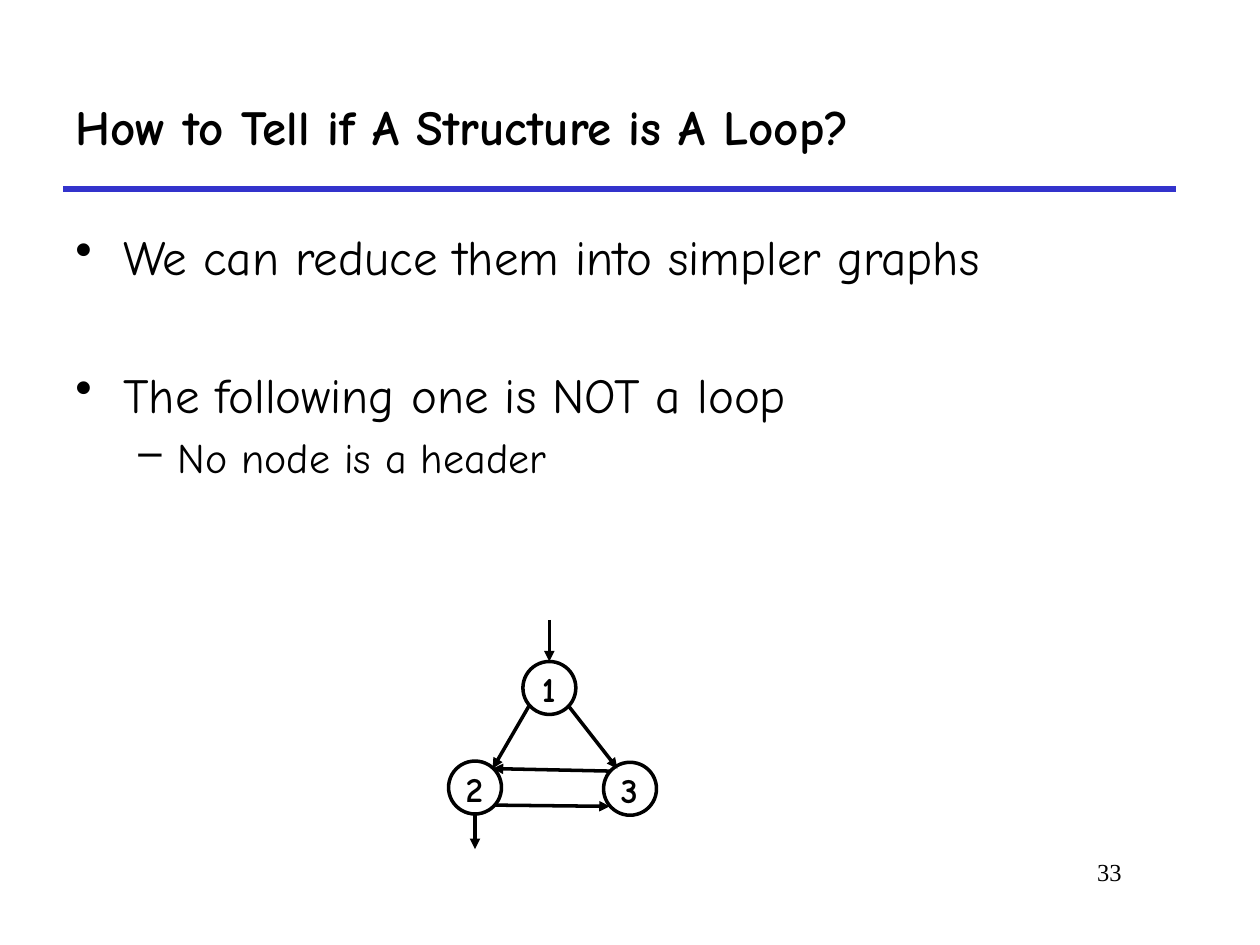
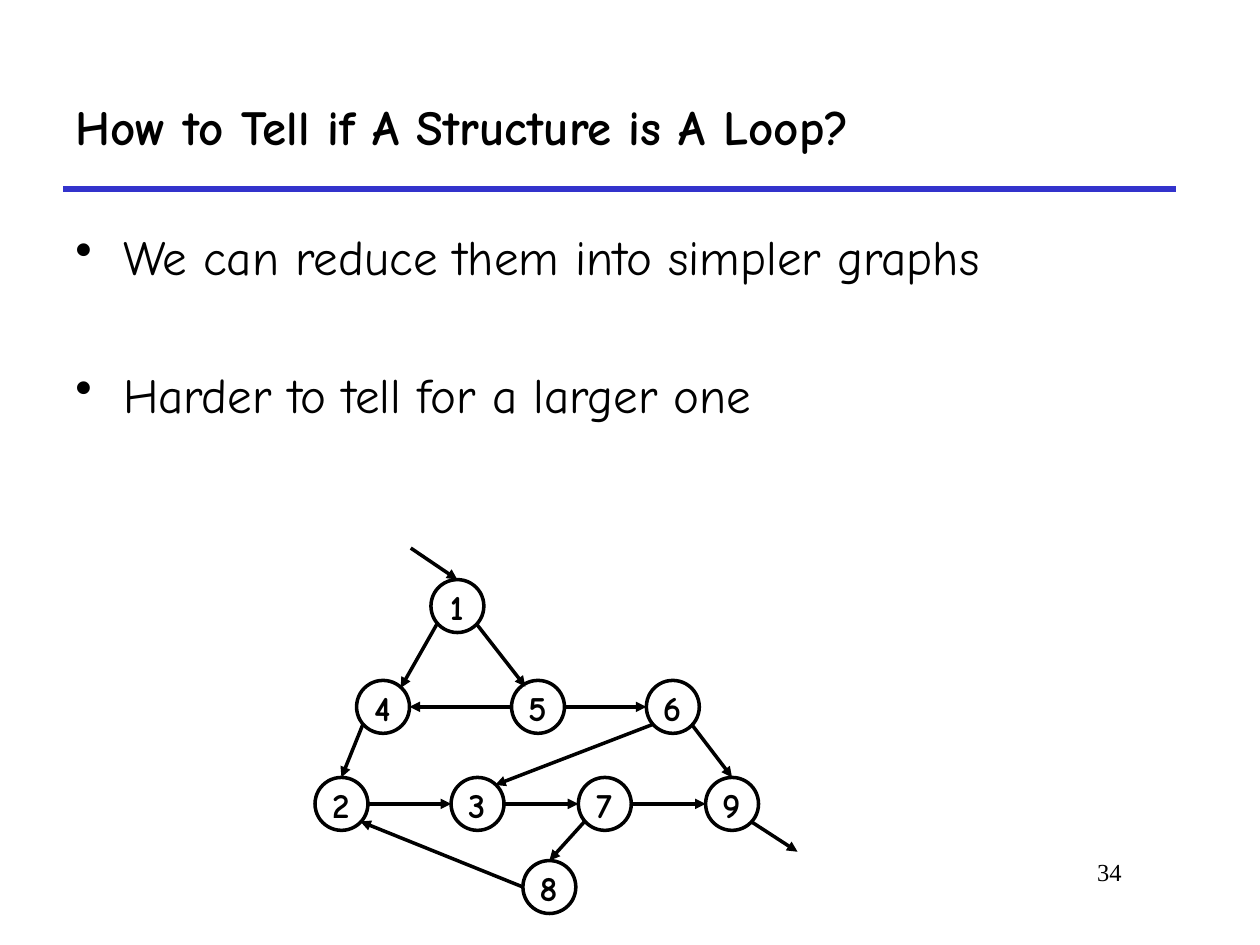
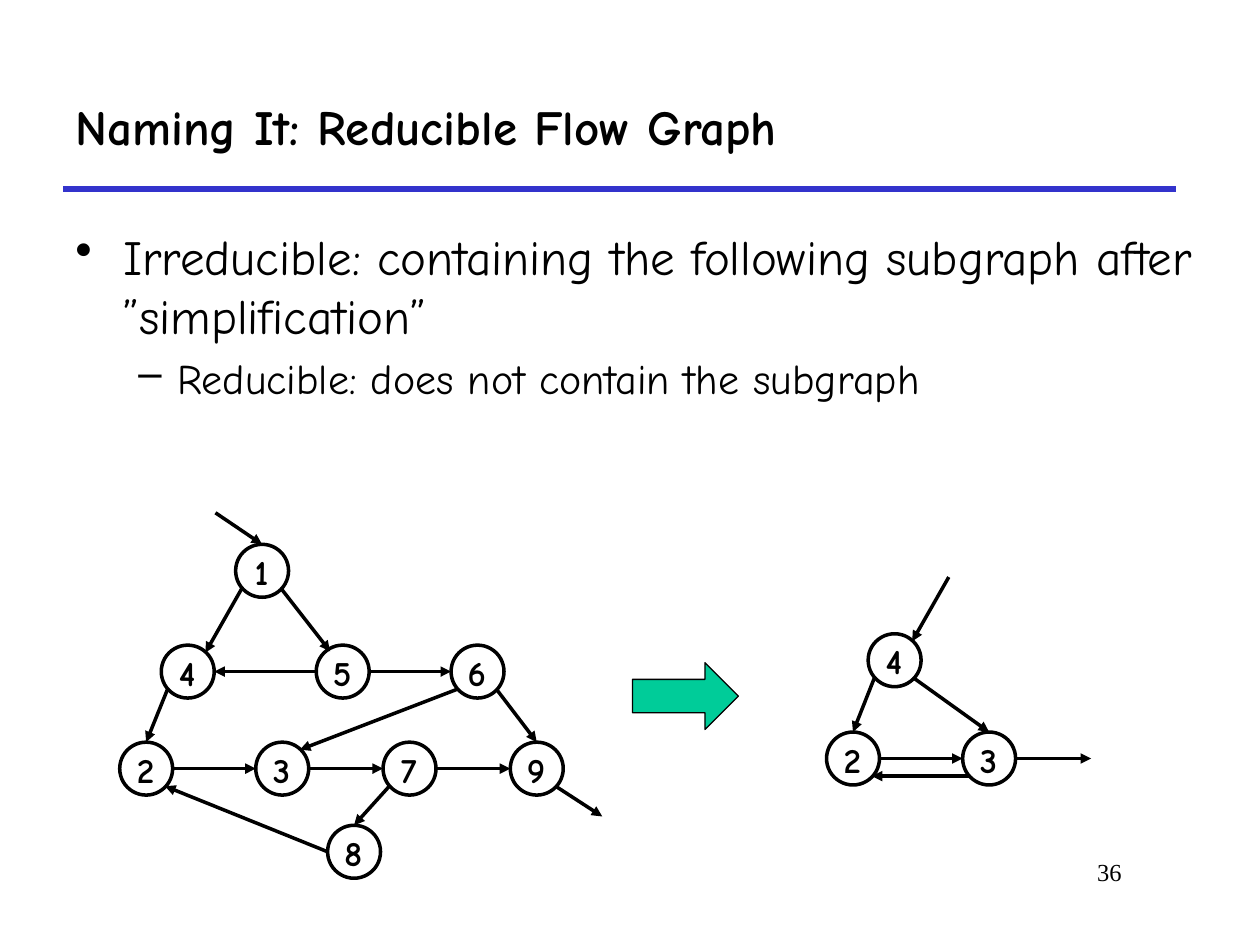
from dataclasses import dataclass
from typing import NamedTuple

from lxml.etree import SubElement
from pptx import Presentation
from pptx.dml.color import RGBColor
from pptx.enum.shapes import MSO_CONNECTOR, MSO_SHAPE
from pptx.enum.text import MSO_ANCHOR, MSO_AUTO_SIZE, PP_ALIGN
from pptx.oxml.ns import qn
from pptx.slide import Slide
from pptx.util import Inches, Pt


# Colours, fonts and sizes
@dataclass(frozen=True)
class Theme:
    ink: RGBColor = RGBColor(0x00, 0x00, 0x00)
    rule: RGBColor = RGBColor(0x33, 0x33, 0xCC)
    accent: RGBColor = RGBColor(0x00, 0xCC, 0x99)
    font: str = "Comic Neue"
    number_font: str = "Times New Roman"
    title_size: float = 28
    label_size: float = 20
    number_size: float = 14
    rule_width: float = 3
    graph_width: float = 2
    outline_width: float = 0.75


THEME = Theme()
NODE_SIZE = 0.42

# Where an edge meets a node, measured from the node's top left corner
PORTS = {
    "N": (0.21, 0), "E": (0.42, 0.21), "S": (0.21, 0.42), "W": (0, 0.21),
    "NE": (0.35, 0.06), "SE": (0.36, 0.35), "SW": (0.05, 0.35),
    "NNW": (0.11, 0.05), "WNW": (0.05, 0.07),
}


class Level(NamedTuple):
    bullet: str
    size: float
    margin: float
    indent: float
    space_before: float


LEVELS = (Level("•", 28, 0.38, -0.38, 5.6), Level("–", 24, 0.81, -0.31, 4.8))
WIDE_GAP = 45.2


class Point(NamedTuple):
    text: str
    level: int = 0
    wide_gap: bool = False


class Edge(NamedTuple):
    source: str
    source_port: str
    target: str
    target_port: str


class Stub(NamedTuple):
    """An arrow between a node and a free point dx, dy away from its port."""
    node: str
    port: str
    dx: float
    dy: float


@dataclass(frozen=True)
class Graph:
    nodes: dict[str, tuple[float, float]]
    edges: tuple[Edge, ...]
    entry: Stub
    exit: Stub


@dataclass(frozen=True)
class Page:
    title: str
    number: str
    points: tuple[Point, ...]
    graphs: tuple[tuple[Graph, float, float], ...]
    reduces: bool = False


# Flow graphs
NOT_A_LOOP = Graph(
    nodes={"1": (0.59, 0), "2": (0, 0.79), "3": (1.23, 0.8)},
    edges=(
        Edge("1", "SW", "2", "NE"),
        Edge("1", "SE", "3", "NNW"),
        Edge("2", "SE", "3", "SW"),
        Edge("3", "WNW", "2", "NE"),
    ),
    entry=Stub("1", "N", 0, -0.33),
    exit=Stub("2", "S", 0, 0.28),
)
LARGER = Graph(
    nodes={
        "1": (0.92, 0),
        "4": (0.33, 0.8), "5": (1.56, 0.8), "6": (2.63, 0.8),
        "2": (0, 1.57), "3": (1.08, 1.57), "7": (2.09, 1.57), "9": (3.1, 1.57),
        "8": (1.65, 2.23),
    },
    edges=(
        Edge("1", "SW", "4", "NE"),
        Edge("1", "SE", "5", "NNW"),
        Edge("5", "E", "6", "W"),
        Edge("5", "W", "4", "E"),
        Edge("4", "SW", "2", "N"),
        Edge("2", "E", "3", "W"),
        Edge("3", "E", "7", "W"),
        Edge("7", "E", "9", "W"),
        Edge("6", "SW", "3", "NE"),
        Edge("6", "SE", "9", "N"),
        Edge("7", "SW", "8", "N"),
        Edge("8", "W", "2", "SE"),
    ),
    entry=Stub("1", "N", -0.37, -0.25),
    exit=Stub("9", "SE", 0.37, 0.24),
)
SIMPLIFIED = Graph(
    nodes={"4": (0.33, 0), "2": (0, 0.78), "3": (1.08, 0.78)},
    edges=(
        Edge("4", "SW", "2", "N"),
        Edge("4", "SE", "3", "N"),
        Edge("2", "E", "3", "W"),
        Edge("3", "SW", "2", "SE"),
    ),
    entry=Stub("4", "NE", 0.29, -0.51),
    exit=Stub("3", "E", 0.6, 0),
)

# Slide contents
LOOP_TITLE = "How to Tell if A Structure is A Loop?"
REDUCE_POINT = Point("We can reduce them into simpler graphs")
PAGES = (
    Page(
        LOOP_TITLE, "33",
        (
            REDUCE_POINT,
            Point("The following one is NOT a loop", wide_gap=True),
            Point("No node is a header", level=1),
        ),
        ((NOT_A_LOOP, 3.56, 5.25),),
    ),
    Page(
        LOOP_TITLE, "34",
        (REDUCE_POINT, Point("Harder to tell for a larger one", wide_gap=True)),
        ((LARGER, 2.5, 4.6),),
    ),
    Page(
        "Naming It: Reducible Flow Graph", "36",
        (
            Point("Irreducible: containing the following subgraph after ”simplification”"),
            Point("Reducible: does not contain the subgraph", level=1),
        ),
        ((SIMPLIFIED, 6.56, 5.03), (LARGER, 0.95, 4.32)),
        reduces=True,
    ),
)


# Drawing helpers
def add_run(paragraph, text: str, size: float, font: str = THEME.font,
            bold: bool = False) -> None:
    run = paragraph.add_run()
    run.text = text
    run.font.name = font
    run.font.size = Pt(size)
    run.font.bold = bold
    run.font.color.rgb = THEME.ink


def add_text_frame(slide: Slide, x: float, y: float, w: float, h: float,
                   wrap: bool = True):
    frame = slide.shapes.add_textbox(Inches(x), Inches(y), Inches(w), Inches(h)).text_frame
    frame.word_wrap = wrap
    return frame


def add_line(slide: Slide, start: tuple[float, float], end: tuple[float, float],
             color: RGBColor, width: float, arrow: bool = False) -> None:
    line = slide.shapes.add_connector(
        MSO_CONNECTOR.STRAIGHT, *(Inches(value) for value in (*start, *end)))
    line.line.color.rgb = color
    line.line.width = Pt(width)
    properties = line.element.spPr
    if arrow:
        SubElement(properties.find(qn("a:ln")), qn("a:tailEnd"), type="triangle")
    SubElement(properties, qn("a:effectLst"))


def add_title(slide: Slide, text: str) -> None:
    title = slide.shapes.title
    title.left, title.top = Inches(0.5), Inches(0.5)
    title.width, title.height = Inches(8.83), Inches(1)
    frame = title.text_frame
    frame.auto_size = MSO_AUTO_SIZE.NONE
    frame.vertical_anchor = MSO_ANCHOR.MIDDLE
    paragraph = frame.paragraphs[0]
    paragraph.alignment = PP_ALIGN.LEFT
    add_run(paragraph, text, THEME.title_size, bold=True)


def add_points(slide: Slide, points: tuple[Point, ...]) -> None:
    frame = add_text_frame(slide, 0.5, 1.75, 9.08, 4.83)
    for index, point in enumerate(points):
        level = LEVELS[point.level]
        paragraph = frame.add_paragraph() if index else frame.paragraphs[0]
        paragraph.level = point.level
        if index:
            paragraph.space_before = Pt(WIDE_GAP if point.wide_gap else level.space_before)
        properties = paragraph._p.get_or_add_pPr()
        properties.set("marL", str(Inches(level.margin)))
        properties.set("indent", str(Inches(level.indent)))
        SubElement(properties, qn("a:buChar"), char=level.bullet)
        add_run(paragraph, point.text, level.size)


def add_page_number(slide: Slide, number: str) -> None:
    paragraph = add_text_frame(slide, 7.58, 6.75, 1.42, 0.5).paragraphs[0]
    paragraph.alignment = PP_ALIGN.RIGHT
    add_run(paragraph, number, THEME.number_size, THEME.number_font)


def add_node(slide: Slide, label: str, x: float, y: float) -> None:
    circle = slide.shapes.add_shape(
        MSO_SHAPE.OVAL, Inches(x), Inches(y), Inches(NODE_SIZE), Inches(NODE_SIZE))
    circle.shadow.inherit = False
    circle.fill.background()
    circle.line.color.rgb = THEME.ink
    circle.line.width = Pt(THEME.graph_width)
    paragraph = add_text_frame(slide, x + 0.02, y, 0.37, 0.44, wrap=False).paragraphs[0]
    paragraph.alignment = PP_ALIGN.CENTER
    add_run(paragraph, label, THEME.label_size, bold=True)


def add_graph(slide: Slide, graph: Graph, left: float, top: float) -> None:
    def port_at(node: str, port: str) -> tuple[float, float]:
        (x, y), (dx, dy) = graph.nodes[node], PORTS[port]
        return left + x + dx, top + y + dy

    def free_end(stub: Stub) -> tuple[float, float]:
        x, y = port_at(stub.node, stub.port)
        return x + stub.dx, y + stub.dy

    for label, (x, y) in graph.nodes.items():
        add_node(slide, label, left + x, top + y)

    entry, leave = graph.entry, graph.exit
    arrows = [
        (port_at(edge.source, edge.source_port), port_at(edge.target, edge.target_port))
        for edge in graph.edges
    ]
    arrows.append((free_end(entry), port_at(entry.node, entry.port)))
    arrows.append((port_at(leave.node, leave.port), free_end(leave)))
    for start, end in arrows:
        add_line(slide, start, end, THEME.ink, THEME.graph_width, arrow=True)


def add_reduction_arrow(slide: Slide) -> None:
    reduction = slide.shapes.add_shape(
        MSO_SHAPE.RIGHT_ARROW, Inches(5.02), Inches(5.26), Inches(0.84), Inches(0.53))
    reduction.shadow.inherit = False
    reduction.fill.solid()
    reduction.fill.fore_color.rgb = THEME.accent
    reduction.line.color.rgb = THEME.ink
    reduction.line.width = Pt(THEME.outline_width)


def add_page(presentation, page: Page) -> None:
    slide = presentation.slides.add_slide(presentation.slide_layouts.get_by_name("Title Only"))
    add_line(slide, (0.5, 1.5), (9.33, 1.5), THEME.rule, THEME.rule_width)
    add_title(slide, page.title)
    add_points(slide, page.points)
    add_page_number(slide, page.number)
    for graph, left, top in page.graphs:
        add_graph(slide, graph, left, top)
    if page.reduces:
        add_reduction_arrow(slide)


def main() -> None:
    presentation = Presentation()
    presentation.slide_width, presentation.slide_height = Inches(10), Inches(7.5)
    for page in PAGES:
        add_page(presentation, page)
    presentation.save("out.pptx")


if __name__ == "__main__":
    main()
